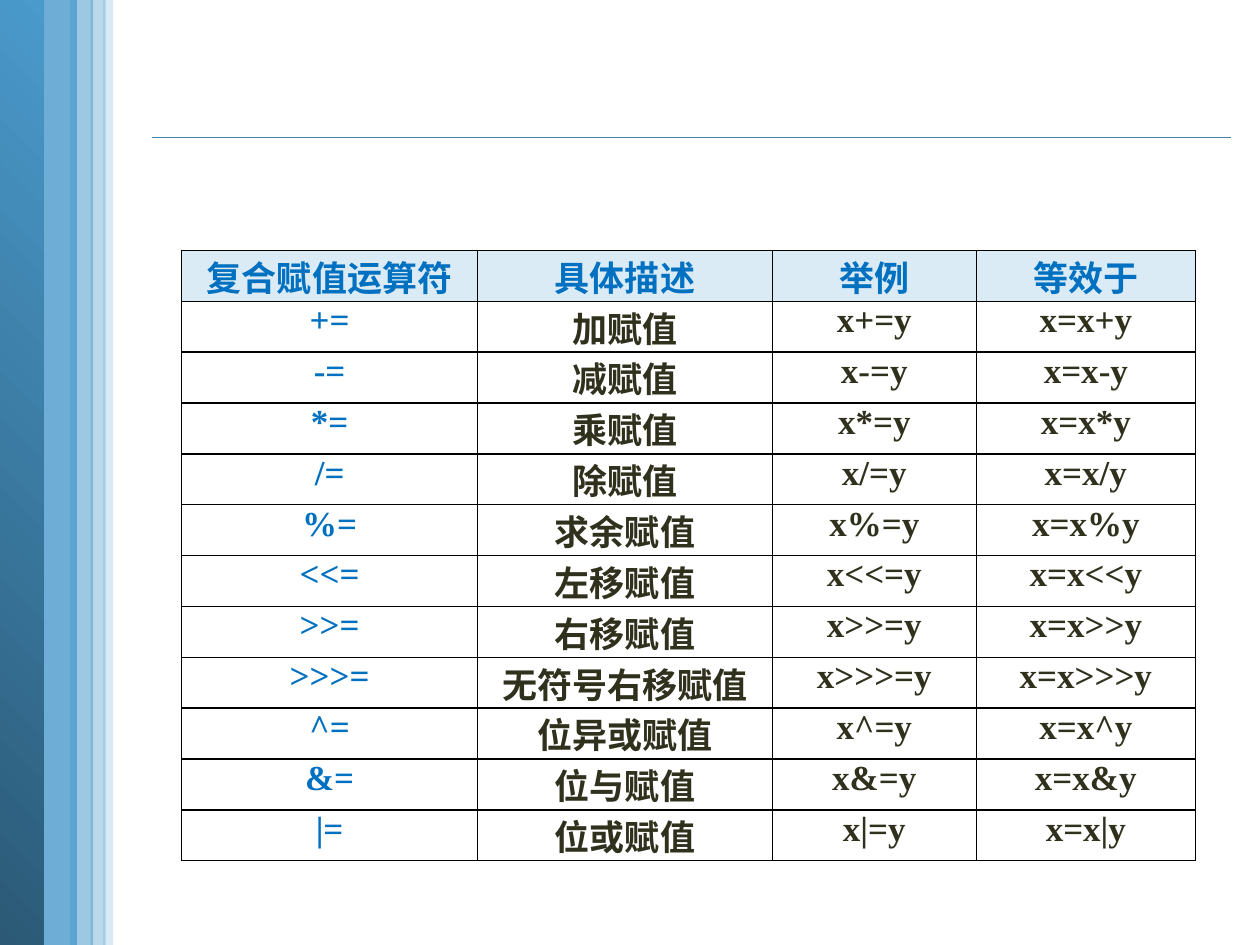
from dataclasses import dataclass
from typing import Optional

from lxml.etree import SubElement
from pptx import Presentation
from pptx.dml.color import RGBColor
from pptx.enum.shapes import MSO_CONNECTOR as Connector, MSO_SHAPE as Shape
from pptx.enum.text import PP_ALIGN as Align
from pptx.oxml.ns import qn
from pptx.slide import Slide
from pptx.util import Cm, Pt


@dataclass(frozen=True)
class Theme:
    """Colours, font and sizes of the page."""
    accent: RGBColor = RGBColor(0x4A, 0x9A, 0xCC)
    deep: RGBColor = RGBColor(0x2B, 0x59, 0x76)
    rule: RGBColor = RGBColor(0x45, 0x82, 0xA7)
    header_fill: RGBColor = RGBColor(0xDB, 0xEB, 0xF5)
    operator: RGBColor = RGBColor(0x00, 0x70, 0xC0)
    body: RGBColor = RGBColor(0x30, 0x31, 0x1D)
    border: str = "000000"
    font: str = "Times New Roman"
    text_size: Pt = Pt(20)
    line_width: Pt = Pt(1)


@dataclass(frozen=True)
class Stripe:
    """A vertical band in centimetres; no opacity means a gradient."""
    left: float
    top: float
    width: float
    height: float
    opacity: Optional[int] = None


@dataclass(frozen=True)
class Assignment:
    """A compound assignment operator and its description."""
    operator: str
    description: str

    def cells(self) -> tuple[str, ...]:
        """Return the texts of the operator's table row."""
        plain = self.operator.removesuffix("=")
        return (self.operator, self.description,
                f"x{self.operator}y", f"x=x{plain}y")


THEME = Theme()
STRIPES = (
    Stripe(0.76, 0, 0.79, 19.13, 80),
    Stripe(-0.03, 0, 0.91, 19.05),
    Stripe(2.08, -0.05, 0.2, 19.1, 20),
    Stripe(1.42, 0, 0.46, 19.08, 54),
    Stripe(1.83, 0, 0.3, 19.1, 37),
)
HEADERS = ("复合赋值运算符", "具体描述", "举例", "等效于")
ASSIGNMENTS = (
    Assignment("+=", "加赋值"),
    Assignment("-=", "减赋值"),
    Assignment("*=", "乘赋值"),
    Assignment("/=", "除赋值"),
    Assignment("%=", "求余赋值"),
    Assignment("<<=", "左移赋值"),
    Assignment(">>=", "右移赋值"),
    Assignment(">>>=", "无符号右移赋值"),
    Assignment("^=", "位异或赋值"),
    Assignment("&=", "位与赋值"),
    Assignment("|=", "位或赋值"),
)
COLUMN_WIDTHS = (5.97, 5.94, 4.11, 4.42)
ROW_HEIGHT = 0.91


def draw_rule(page: Slide) -> None:
    """Draw the thin line under the heading area."""
    rule = page.shapes.add_connector(
        Connector.STRAIGHT, Cm(3.06), Cm(2.77), Cm(24.82), Cm(2.77))
    rule.line.color.rgb = THEME.rule
    rule.line.width = THEME.line_width
    SubElement(rule._element.spPr, qn("a:effectLst"))


def draw_stripe(page: Slide, stripe: Stripe) -> None:
    """Draw one band of the left edge."""
    box = page.shapes.add_shape(
        Shape.RECTANGLE, Cm(stripe.left), Cm(stripe.top),
        Cm(stripe.width), Cm(stripe.height))
    box.shadow.inherit = False
    box.line.fill.background()
    if stripe.opacity is None:
        box.fill.gradient()
        box.fill.gradient_angle = 45
        for stop, color in zip(box.fill.gradient_stops,
                               (THEME.deep, THEME.accent)):
            stop.color.rgb = color
    else:
        box.fill.solid()
        box.fill.fore_color.rgb = THEME.accent
        color = box._element.spPr.find(f".//{qn('a:srgbClr')}")
        SubElement(color, qn("a:alpha"), val=str(stripe.opacity * 1000))


def draw_borders(cell) -> None:
    """Give a cell a solid line on each side."""
    properties = cell._tc.get_or_add_tcPr()
    for side in ("lnL", "lnR", "lnT", "lnB"):
        line = SubElement(properties, qn(f"a:{side}"),
                          w=str(THEME.line_width))
        fill = SubElement(line, qn("a:solidFill"))
        SubElement(fill, qn("a:srgbClr"), val=THEME.border)


def fill_cell(cell, text: str, color: RGBColor, is_header: bool) -> None:
    """Write and format one table cell."""
    cell.margin_left = cell.margin_right = Cm(0.18)
    cell.margin_top = cell.margin_bottom = 0
    draw_borders(cell)
    if is_header:
        cell.fill.solid()
        cell.fill.fore_color.rgb = THEME.header_fill
    else:
        cell.fill.background()
    cell.text = text
    para = cell.text_frame.paragraphs[0]
    para.alignment = Align.CENTER
    para.font.name = THEME.font
    para.font.size = THEME.text_size
    para.font.bold = True
    para.font.color.rgb = color


def draw_table(page: Slide) -> None:
    """Draw the table of compound assignment operators."""
    rows = (HEADERS, *(item.cells() for item in ASSIGNMENTS))
    table = page.shapes.add_table(
        len(rows), len(HEADERS), Cm(3.66), Cm(5.05),
        Cm(sum(COLUMN_WIDTHS)), Cm(ROW_HEIGHT * len(rows))).table
    table.horz_banding = False
    for column, width in zip(table.columns, COLUMN_WIDTHS):
        column.width = Cm(width)
    for row_index, texts in enumerate(rows):
        table.rows[row_index].height = Cm(ROW_HEIGHT)
        is_header = row_index == 0
        for column_index, text in enumerate(texts):
            is_blue = is_header or column_index == 0
            fill_cell(table.cell(row_index, column_index), text,
                      THEME.operator if is_blue else THEME.body, is_header)


def main() -> None:
    """Build and save the deck."""
    deck = Presentation()
    deck.slide_width, deck.slide_height = Cm(25.4), Cm(19.05)
    page = deck.slides.add_slide(deck.slide_layouts[6])
    draw_rule(page)
    for stripe in STRIPES:
        draw_stripe(page, stripe)
    draw_table(page)
    deck.save("out.pptx")


if __name__ == "__main__":
    main()
